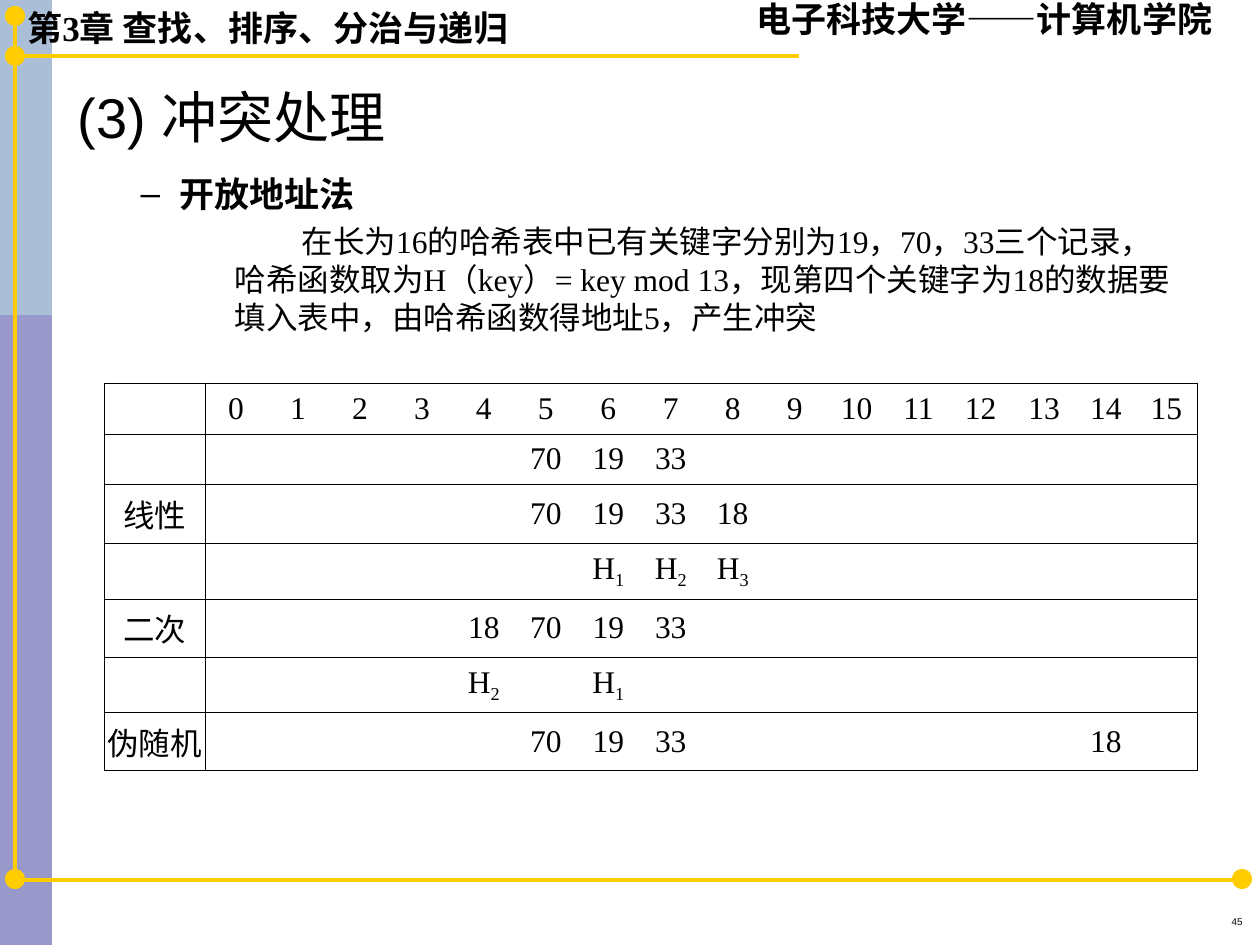
from lxml import etree
from pptx import Presentation
from pptx.dml.color import RGBColor
from pptx.enum.shapes import MSO_CONNECTOR, MSO_SHAPE
from pptx.enum.text import MSO_ANCHOR, MSO_AUTO_SIZE, PP_ALIGN
from pptx.oxml.ns import qn
from pptx.util import Emu, Pt

RECTANGLE, OVAL = MSO_SHAPE.RECTANGLE, MSO_SHAPE.OVAL
STRAIGHT = MSO_CONNECTOR.STRAIGHT
LEFT, CENTER, RIGHT = PP_ALIGN.LEFT, PP_ALIGN.CENTER, PP_ALIGN.RIGHT
TOP, MIDDLE = MSO_ANCHOR.TOP, MSO_ANCHOR.MIDDLE
FIXED = MSO_AUTO_SIZE.NONE
SERIF, SANS = "Times New Roman", "Arial"
YELLOW, BLACK = "FFCC00", "000000"


def px(*lengths):
    return [Emu(round(length * 914400 / 126)) for length in lengths]


def write(para, text, size, font=SERIF, bold=False):
    span = para.add_run()
    span.text = text
    formats = {"size": Pt(size), "name": font, "bold": bold}
    for name, value in formats.items():
        setattr(span.font, name, value)
    span.font.color.rgb = RGBColor.from_string(BLACK)
    return span


deck = Presentation()
deck.slide_width, deck.slide_height = px(1260, 945)
page = deck.slides.add_slide(deck.slide_layouts[1])
title = page.shapes.title
title.element.getparent().remove(title.element)

bands = [((0, 0, 52, 945), "333399", 50), ((0, 0, 52, 315), "BBE0E3", 53)]
for place, color, opacity in bands:
    band = page.shapes.add_shape(RECTANGLE, *px(*place))
    band.shadow.inherit = False
    band.fill.solid()
    band.fill.fore_color.rgb = RGBColor.from_string(color)
    band.line.fill.background()
    tint = band.fill._xPr.find(".//" + qn("a:srgbClr"))
    etree.SubElement(tint, qn("a:alpha"), val=str(opacity * 1000))

for ends in [(25, 880, 1245, 880), (15, 56, 799, 56), (15, 880, 15, 16)]:
    rule = page.shapes.add_connector(STRAIGHT, *px(*ends))
    rule.line.color.rgb = RGBColor.from_string(YELLOW)
    rule.line.width = Pt(2)
    etree.SubElement(rule._element.spPr, qn("a:effectLst"))

for left, top in [(5, 869), (1232, 869), (5, 46), (5, 6)]:
    dot = page.shapes.add_shape(OVAL, *px(left, top, 20, 20))
    dot.shadow.inherit = False
    dot.fill.solid()
    dot.fill.fore_color.rgb = RGBColor.from_string(YELLOW)
    dot.line.fill.background()

labels = [
    ((15, 0, 536, 55), "第3章 查找、排序、分治与递归", 20, SERIF, True, LEFT),
    ((744, -9, 520, 55), "电子科技大学——计算机学院", 20, SERIF, True, LEFT),
    ((922, 910, 333, 28), "45", 5.6, SANS, False, RIGHT),
]
for place, text, size, font, bold, align in labels:
    box = page.shapes.add_textbox(*px(*place))
    box.text_frame.word_wrap = True
    para = box.text_frame.paragraphs[0]
    para.alignment = align
    write(para, text, size, font, bold)

body = page.placeholders[1]
body.left, body.top, body.width, body.height = px(65, 76, 1153, 338)
frame = body.text_frame
frame.auto_size = FIXED
frame.vertical_anchor = TOP
frame.margin_right = px(45)[0]
outline = [
    ("(3) 冲突处理", 32, SANS, False, 0, 0, None, 0, 8),
    ("开放地址法", 20, SERIF, True, 102, -39, "–", 5, 0),
    ("在长为16的哈希表中已有关键字分别为19，70，33三个记录， "
     "哈希函数取为H（key）= key mod 13，现第四个关键字为18"
     "的数据要填入表中，由哈希函数得地址5，产生冲突",
     18, SERIF, False, 157, 67, None, 4.5, 0),
]
for level, row in enumerate(outline):
    text, size, font, bold, margin, indent, bullet, before, after = row
    para = frame.add_paragraph() if level else frame.paragraphs[0]
    para.level = level
    props = para._p.get_or_add_pPr()
    margin, indent = px(margin, indent)
    props.set("marL", str(margin))
    props.set("indent", str(indent))
    if bullet:
        etree.SubElement(props, qn("a:buChar"), char=bullet)
    else:
        etree.SubElement(props, qn("a:buNone"))
    para.space_before, para.space_after = Pt(before), Pt(after)
    write(para, text, size, font, bold)

addresses = 16
wide_slots = {6: 63, 13: 65, 14: 59}
widths = [101] + [wide_slots.get(slot, 62) for slot in range(addresses)]
rows = [
    ("", 51, {slot: str(slot) for slot in range(addresses)}),
    ("", 50, {5: "70", 6: "19", 7: "33"}),
    ("线性", 59, {5: "70", 6: "19", 7: "33", 8: "18"}),
    ("", 56, {6: "H1", 7: "H2", 8: "H3"}),
    ("二次", 58, {4: "18", 5: "70", 6: "19", 7: "33"}),
    ("", 56, {4: "H2", 6: "H1"}),
    ("伪随机", 58, {5: "70", 6: "19", 7: "33", 14: "18"}),
]
total = sum(height for _, height, _ in rows)
table = page.shapes.add_table(
    len(rows), len(widths), *px(104, 383, sum(widths), total)).table
table.first_row = table.horz_banding = False
for column, width in zip(table.columns, px(*widths)):
    column.width = width

for index, (method, height, entries) in enumerate(rows):
    table.rows[index].height = px(height)[0]
    for slot in range(-1, addresses):
        cell = table.cell(index, slot + 1)
        cell.vertical_anchor = MIDDLE
        cell.margin_left, cell.margin_right, cell.margin_top, cell.margin_bottom = px(2, 2, 6, 6)
        para = cell.text_frame.paragraphs[0]
        para.alignment = CENTER
        text = method if slot < 0 else entries.get(slot, "")
        if text.startswith("H"):
            write(para, "H", 18)
            write(para, text[1:], 18).font._element.set("baseline", "-25000")
        elif text:
            write(para, text, 18)
        props = cell._tc.get_or_add_tcPr()
        edges = {"L": slot <= 0, "R": slot in (-1, addresses - 1), "T": True, "B": True}
        for side, drawn in edges.items():
            edge = etree.SubElement(props, qn("a:ln" + side), w=str(Pt(0.45)))
            if drawn:
                paint = etree.SubElement(edge, qn("a:solidFill"))
                etree.SubElement(paint, qn("a:srgbClr"), val=BLACK)
            else:
                etree.SubElement(edge, qn("a:noFill"))
        cell.fill.background()

deck.save("out.pptx")
